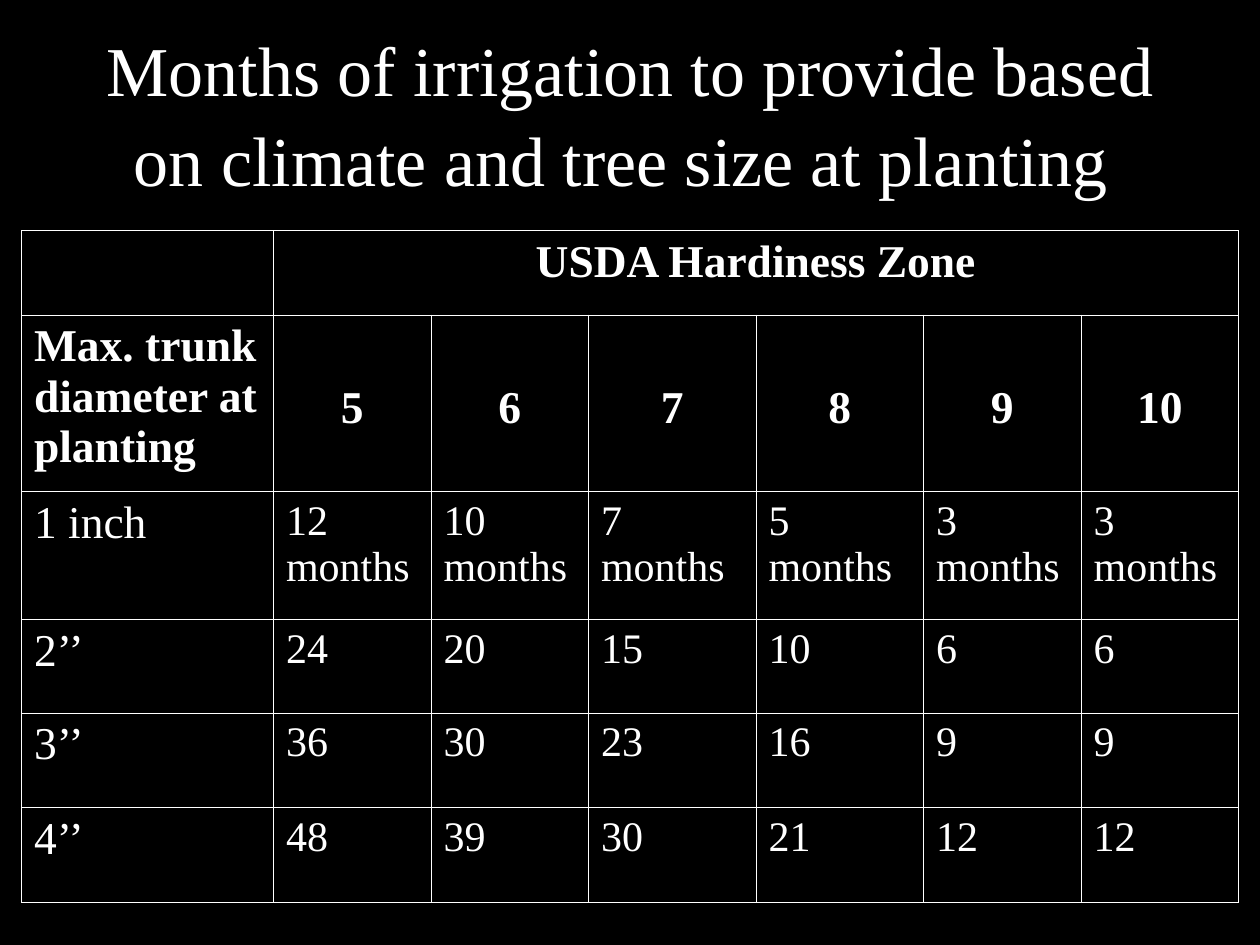
import pptx
import pptx.dml.color
import pptx.enum.text
import pptx.oxml
import pptx.oxml.ns
import pptx.util

Inches = pptx.util.Inches
Pt = pptx.util.Pt
ALIGN = pptx.enum.text.PP_ALIGN
ANCHOR = pptx.enum.text.MSO_ANCHOR

TITLE = "Months of irrigation to provide based on climate and tree size at planting "
ZONE_HEADING = "USDA Hardiness Zone"
DIAMETER_HEADING = "Max. trunk diameter at planting"
ZONES = [5, 6, 7, 8, 9, 10]
MONTHS_BY_DIAMETER = {
    "1 inch": ["12 months", "10 months", "7 months", "5 months", "3 months", "3 months"],
    "2’’": [24, 20, 15, 10, 6, 6],
    "3’’": [36, 30, 23, 16, 9, 9],
    "4’’": [48, 39, 30, 21, 12, 12],
}
COLUMN_WIDTHS = [2, 1.25, 1.25, 1.33, 1.33, 1.25, 1.25]
ROW_HEIGHTS = [0.67, 1.4, 1.02, 0.74, 0.75, 0.75]

THEME = {
    "font": "Times New Roman",
    "background": "000000",
    "ink": "FFFFFF",
    "border_width": 0.45,
    "title": {"size": Pt(40), "bold": False},
    "heading": {"size": Pt(26), "bold": True},
    "diameter": {"size": Pt(26), "bold": False},
    "months": {"size": Pt(24), "bold": False},
}


def set_text(text_frame, text, style, alignment=ALIGN.LEFT):
    paragraph = text_frame.paragraphs[0]
    paragraph.alignment = alignment
    run = paragraph.add_run()
    run.text = str(text)
    for name, value in {"name": THEME["font"], **THEME[style]}.items():
        setattr(run.font, name, value)
    run.font.color.rgb = pptx.dml.color.RGBColor.from_string(THEME["ink"])
    return paragraph


def add_title(slide):
    box = slide.shapes.add_textbox(Inches(0.5), Inches(0.25), Inches(9), Inches(1.25))
    box.text_frame.word_wrap = True
    box.text_frame.vertical_anchor = ANCHOR.MIDDLE
    paragraph = set_text(box.text_frame, TITLE, "title", ALIGN.CENTER)
    paragraph.line_spacing = 1.08


def outline_cell(cell):
    properties = cell._tc.get_or_add_tcPr()
    for side in ("lnL", "lnR", "lnT", "lnB"):
        properties.append(pptx.oxml.parse_xml(
            f'<a:{side} {pptx.oxml.ns.nsdecls("a")} w="{Pt(THEME["border_width"])}">'
            f'<a:solidFill><a:srgbClr val="{THEME["ink"]}"/></a:solidFill></a:{side}>'
        ))
    cell.fill.background()


def add_irrigation_table(slide):
    table = slide.shapes.add_table(
        len(ROW_HEIGHTS), len(COLUMN_WIDTHS), Inches(0.17), Inches(1.83),
        Inches(sum(COLUMN_WIDTHS)), Inches(sum(ROW_HEIGHTS)),
    ).table
    table.first_row = table.horz_banding = False
    for column, width in zip(table.columns, COLUMN_WIDTHS):
        column.width = Inches(width)
    for row, height in zip(table.rows, ROW_HEIGHTS):
        row.height = Inches(height)
    for cell in table.iter_cells():
        outline_cell(cell)

    table.cell(0, 1).merge(table.cell(0, len(ZONES)))
    set_text(table.cell(0, 1).text_frame, ZONE_HEADING, "heading", ALIGN.CENTER)
    set_text(table.cell(1, 0).text_frame, DIAMETER_HEADING, "heading")
    for column, zone in enumerate(ZONES, start=1):
        cell = table.cell(1, column)
        cell.vertical_anchor = ANCHOR.MIDDLE
        cell.margin_top = Inches(0.13)
        set_text(cell.text_frame, zone, "heading", ALIGN.CENTER)
    for row, (diameter, months) in enumerate(MONTHS_BY_DIAMETER.items(), start=2):
        set_text(table.cell(row, 0).text_frame, diameter, "diameter")
        for column, value in enumerate(months, start=1):
            set_text(table.cell(row, column).text_frame, value, "months")


def main():
    presentation = pptx.Presentation()
    presentation.slide_width = Inches(10)
    presentation.slide_height = Inches(7.5)
    slide = presentation.slides.add_slide(presentation.slide_layouts[6])
    background = slide.background.fill
    background.solid()
    background.fore_color.rgb = pptx.dml.color.RGBColor.from_string(THEME["background"])
    add_title(slide)
    add_irrigation_table(slide)
    presentation.save("out.pptx")


if __name__ == "__main__":
    main()
